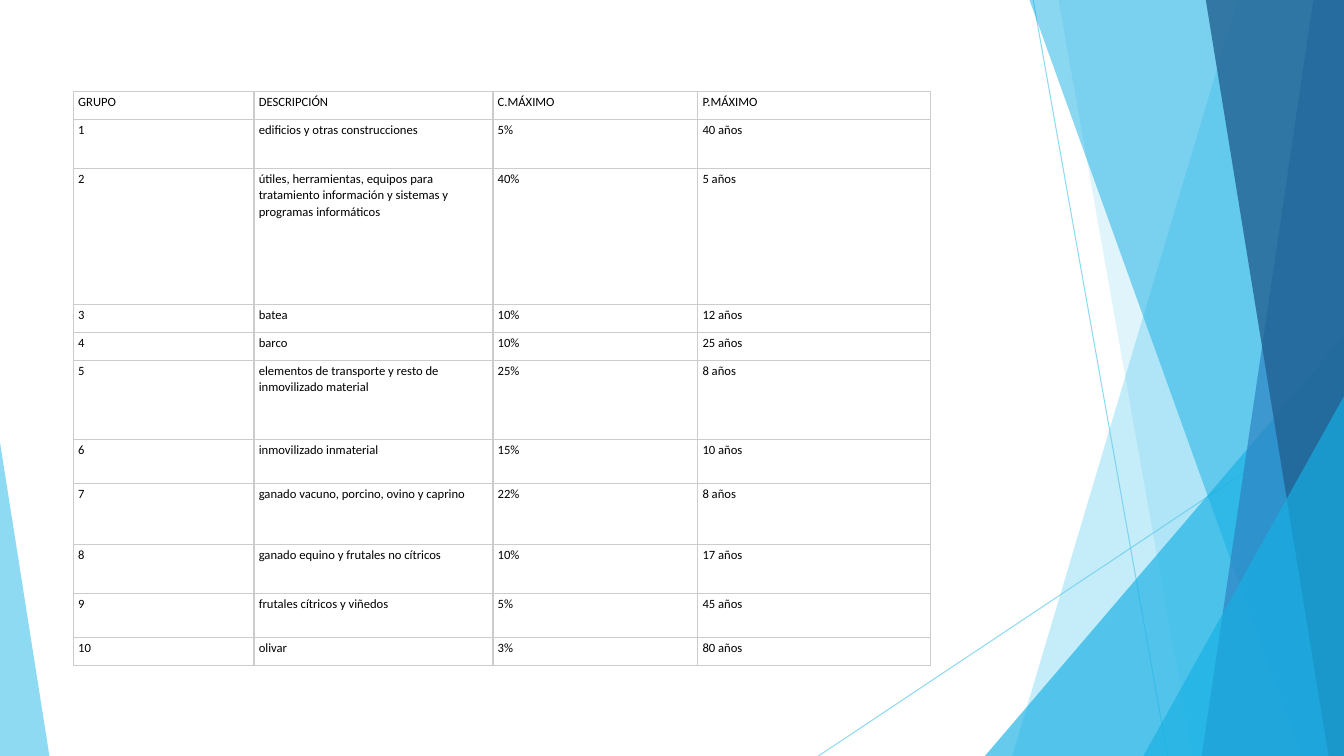
from lxml.etree import SubElement
from pptx import Presentation
from pptx.dml.color import RGBColor
from pptx.enum.shapes import MSO_CONNECTOR, MSO_SHAPE
from pptx.oxml.ns import qn
from pptx.util import Pt

COLORS = {"sky": "5FCBEF", "cyan": "17B0E4", "blue": "2E83C3", "navy": "226292",
          "rule": "CCCCCC", "text": "000000"}
WIDTH, HEIGHT = 960, 540


class DepreciationSlide:
    """Hold the slide and its style, and draw each kind of element."""

    def __init__(self, slide):
        self.shapes = slide.shapes
        self.font, self.size = "Calibri", 9

    def paint(self, fill, color, opacity):
        fill.solid()
        fill.fore_color.rgb = RGBColor.from_string(COLORS[color])
        tint = fill._xPr.find(".//" + qn("a:srgbClr"))
        SubElement(tint, qn("a:alpha"), val=str(opacity * 1000))

    def finish(self, facet, color, opacity):
        facet.shadow.inherit = False
        facet.line.fill.background()
        self.paint(facet.fill, color, opacity)

    def ray(self, x1, y1, x2, y2):
        ray = self.shapes.add_connector(MSO_CONNECTOR.STRAIGHT, Pt(x1), Pt(y1), Pt(x2), Pt(y2))
        ray.line.width = Pt(0.75)
        self.paint(ray.line.fill, "sky", 70)
        SubElement(ray._element.spPr, qn("a:effectLst"))

    def panel(self, top_x, bottom_x, color, opacity):
        outline = self.shapes.build_freeform(Pt(top_x), Pt(-0.6))
        corners = [(WIDTH, -0.6), (WIDTH, HEIGHT), (bottom_x, HEIGHT)]
        outline.add_line_segments([(Pt(x), Pt(y)) for x, y in corners], close=True)
        self.finish(outline.convert_to_shape(), color, opacity)

    def wedge(self, left, top, width, apex, color, opacity):
        wedge = self.shapes.add_shape(MSO_SHAPE.ISOSCELES_TRIANGLE, Pt(left), Pt(top),
                                      Pt(width), Pt(HEIGHT - top))
        wedge.adjustments[0] = apex
        self.finish(wedge, color, opacity)

    def border(self, cell):
        properties = cell._tc.get_or_add_tcPr()
        for position, side in enumerate(("a:lnL", "a:lnR", "a:lnT", "a:lnB")):
            edge = SubElement(properties, qn(side), w=str(Pt(1)))
            SubElement(SubElement(edge, qn("a:solidFill")), qn("a:srgbClr"), val=COLORS["rule"])
            properties.insert(position, edge)

    def fill_cell(self, cell, text):
        cell.fill.background()
        cell.margin_left = cell.margin_right = Pt(3.4)
        cell.margin_top = cell.margin_bottom = Pt(1.4)
        cell.text_frame.text = text
        paragraph = cell.text_frame.paragraphs[0]
        paragraph.line_spacing, paragraph.space_after = 1.07, Pt(8)
        for run in paragraph.runs:
            run.font.name, run.font.size = self.font, Pt(self.size)
            run.font.color.rgb = RGBColor.from_string(COLORS["text"])
        self.border(cell)

    def table(self, left, top, widths, heights, records):
        table = self.shapes.add_table(len(heights), len(widths), Pt(left), Pt(top),
                                      Pt(sum(widths)), Pt(sum(heights))).table
        table.first_row = table.horz_banding = False
        for column, width in zip(table.columns, widths):
            column.width = Pt(width)
        for row, height, record in zip(table.rows, heights, records):
            row.height = Pt(height)
            for cell, text in zip(row.cells, record):
                self.fill_cell(cell, text)


GROUPS = [
    ("edificios y otras construcciones", "5%", "40 años"),
    ("útiles, herramientas, equipos para tratamiento información y sistemas y "
     "programas informáticos", "40%", "5 años"),
    ("batea", "10%", "12 años"),
    ("barco", "10%", "25 años"),
    ("elementos de transporte y resto de inmovilizado material", "25%", "8 años"),
    ("inmovilizado inmaterial", "15%", "10 años"),
    ("ganado vacuno, porcino, ovino y caprino", "22%", "8 años"),
    ("ganado equino y frutales no cítricos", "10%", "17 años"),
    ("frutales cítricos y viñedos", "5%", "45 años"),
    ("olivar", "3%", "80 años"),
]
HEADER = ("GRUPO", "DESCRIPCIÓN", "C.MÁXIMO", "P.MÁXIMO")
ROW_HEIGHTS = [20, 35, 97, 20, 20, 57, 31, 44, 35, 31, 20]

presentation = Presentation()
presentation.slide_width, presentation.slide_height = Pt(WIDTH), Pt(HEIGHT)
page = DepreciationSlide(presentation.slides.add_slide(presentation.slide_layouts[6]))

page.ray(738, 0, 834, HEIGHT)
page.ray(WIDTH, 290, 584.6, HEIGHT)
page.panel(884.2, 723, "sky", 36)
page.panel(756, 851.8, "sky", 20)
page.wedge(703.5, 240, 256.5, 1, "cyan", 66)
page.panel(735.2, 929.5, "cyan", 50)
page.panel(938.2, 858.4, "blue", 70)
page.panel(861.2, 949, "navy", 80)
page.wedge(816.7, 283, 143.3, 1, "cyan", 66)
page.wedge(0, 316, 35.3, 0, "sky", 70)

numbered = [(str(number), *group) for number, group in enumerate(GROUPS, 1)]
page.table(52.5, 65.3, [129, 170.7, 146.3, 166], ROW_HEIGHTS, [HEADER, *numbered])

presentation.save("out.pptx")
